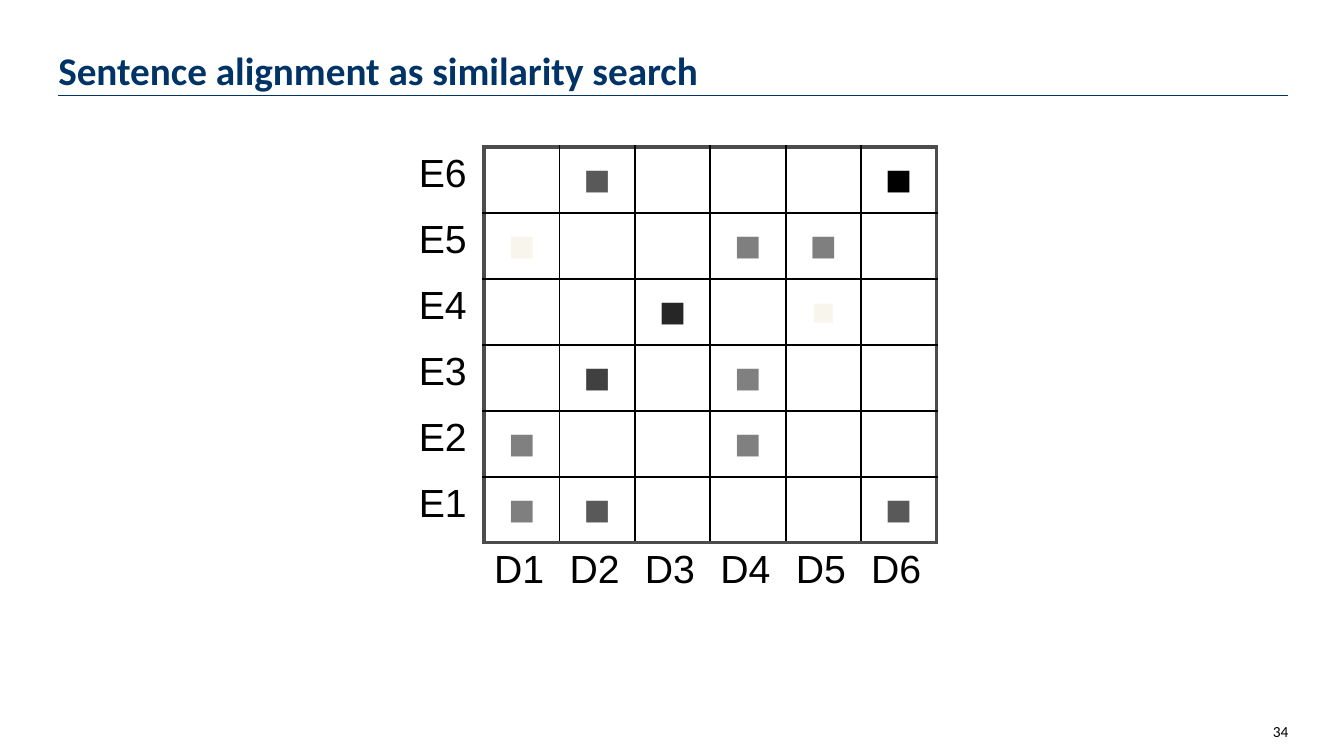
from lxml.etree import SubElement
from pptx import Presentation
from pptx.dml.color import RGBColor
from pptx.enum.shapes import MSO_CONNECTOR
from pptx.enum.text import MSO_ANCHOR, PP_ALIGN
from pptx.oxml.ns import qn
from pptx.util import Cm, Pt

NAVY = RGBColor(0x00, 0x33, 0x66)
BLACK = RGBColor(0x00, 0x00, 0x00)
FRAME = RGBColor(0x4C, 0x4C, 0x4C)
CHARCOAL = RGBColor(0x26, 0x26, 0x26)
DARK = RGBColor(0x40, 0x40, 0x40)
SLATE = RGBColor(0x59, 0x59, 0x59)
GREY = RGBColor(0x7F, 0x7F, 0x7F)
MID_GREY = RGBColor(0x80, 0x80, 0x80)
CREAM = RGBColor(0xF8, 0xF5, 0xEC)

SIZE = 6  # sentences in each language

# (English sentence, German sentence): shade and size of the similarity mark
MARKS = {
    (6, 2): (SLATE, 32), (6, 6): (BLACK, 32),
    (5, 1): (CREAM, 32), (5, 4): (GREY, 32), (5, 5): (GREY, 32),
    (4, 3): (CHARCOAL, 32), (4, 5): (CREAM, 28),
    (3, 2): (DARK, 32), (3, 4): (MID_GREY, 32),
    (2, 1): (MID_GREY, 32), (2, 4): (MID_GREY, 32),
    (1, 1): (GREY, 32), (1, 2): (SLATE, 32), (1, 6): (SLATE, 32),
}


def write(tf, text, font, size, color, align=PP_ALIGN.LEFT, bold=False):
    p = tf.paragraphs[0]
    p.text = text
    p.alignment = align
    f = p.runs[0].font
    f.name, f.size, f.bold = font, Pt(size), bold
    f.color.rgb = color
    return p


def add_text(s, x, y, w, h, anchor, text, size, color, **style):
    tf = s.shapes.add_textbox(x, y, w, h).text_frame
    tf.word_wrap = True
    tf.vertical_anchor = anchor
    tf.margin_left = tf.margin_top = tf.margin_right = tf.margin_bottom = 0
    return write(tf, text, "Calibri", size, color, **style)


def add_header(s, x, y, w, h):
    # Title with a rule below it
    p = add_text(s, x, y, Cm(21.44), h - Cm(0.05), MSO_ANCHOR.BOTTOM,
                 "Sentence alignment as similarity search", 28, NAVY, bold=True)
    p.line_spacing = Pt(28)
    rule = s.shapes.add_connector(MSO_CONNECTOR.STRAIGHT, x + w, y + h, x, y + h)
    rule.line.color.rgb = NAVY
    rule.line.width = Pt(0.75)
    SubElement(rule._element.spPr, qn("a:effectLst"))


def set_border(cell, side, color, width):
    ln = SubElement(cell._tc.get_or_add_tcPr(), qn("a:ln" + side))
    if color is None:
        ln.set("w", "0")
        SubElement(ln, qn("a:noFill"))
    else:
        ln.set("w", str(Pt(width)))
        fill = SubElement(ln, qn("a:solidFill"))
        SubElement(fill, qn("a:srgbClr"), val=str(color))


def border_style(drawn, outer):
    if not drawn:
        return None, 0
    return (FRAME, 3) if outer else (BLACK, 1.5)


def add_borders(cell, row, col):
    # Lines exist only around the matrix; its outer edge is heavier
    for side, x in (("L", col), ("R", col + 1)):
        set_border(cell, side, *border_style(row < SIZE and x > 0, x in (1, SIZE + 1)))
    for side, y in (("T", row), ("B", row + 1)):
        set_border(cell, side, *border_style(col > 0 and y <= SIZE, y in (0, SIZE)))


def add_matrix(s, x, y, w, h):
    # Similarity matrix, with labels in the first column and last row
    n = SIZE + 1
    table = s.shapes.add_table(n, n, x, y, w, h).table
    table.first_row = table.horz_banding = False
    for i in range(n):
        table.columns[i].width = w // n
        table.rows[i].height = h // n
    for row in range(n):
        for col in range(n):
            cell = table.cell(row, col)
            english = SIZE - row
            add_borders(cell, row, col)
            cell.fill.background()
            if (english, col) in MARKS:
                color, size = MARKS[english, col]
                cell.vertical_anchor = MSO_ANCHOR.MIDDLE
                write(cell.text_frame, "■", "Arial", size, color, PP_ALIGN.CENTER)
            elif (col == 0) != (english == 0):
                label = f"E{english}" if col == 0 else f"D{col}"
                write(cell.text_frame, label, "Arial", 28, BLACK)


def add_page_number(s, x, y, w, h):
    add_text(s, x, y, w, h, MSO_ANCHOR.MIDDLE, "34", 11, BLACK, align=PP_ALIGN.RIGHT)


def main():
    prs = Presentation()
    prs.slide_width, prs.slide_height = Cm(33.87), Cm(19.05)
    s = prs.slides.add_slide(prs.slide_layouts[6])
    add_header(s, Cm(1.47), Cm(0.33), Cm(31), Cm(2.07))
    add_matrix(s, Cm(10.3), Cm(3.7), Cm(13.3), Cm(11.64))
    add_page_number(s, Cm(30.8), Cm(17.8), Cm(1.67), Cm(1.25))
    prs.save("out.pptx")


if __name__ == "__main__":
    main()
